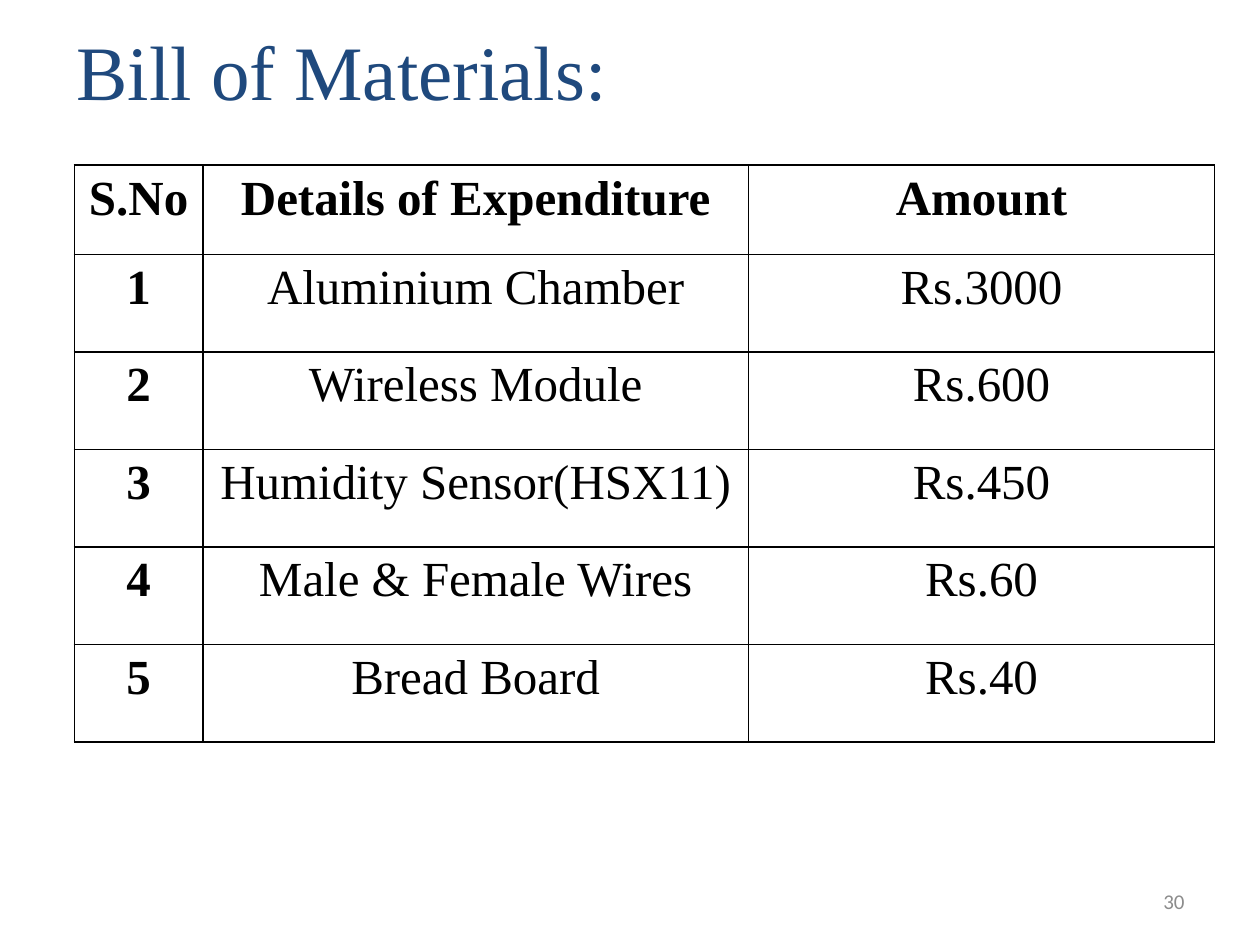
from lxml import etree
from pptx import Presentation
from pptx.dml.color import RGBColor
from pptx.enum.text import MSO_ANCHOR as Anchor, PP_ALIGN as Align
from pptx.oxml.ns import qn
from pptx.util import Inches, Pt

COLORS = {"title": "1F497D", "ink": "000000", "paper": "FFFFFF", "page": "8C8C8C"}
SERIF = "Times New Roman"
HEADS = ["S.No", "Details of Expenditure", "Amount"]
ITEMS = [
    ("Aluminium Chamber", "Rs.3000"),
    ("Wireless Module", "Rs.600"),
    ("Humidity Sensor(HSX11)", "Rs.450"),
    ("Male & Female Wires", "Rs.60"),
    ("Bread Board", "Rs.40"),
]
WIDTHS = [1.02, 4.33, 3.7]
TABLE_H, HEAD_H = 4.58, 0.71


def color(name):
    return RGBColor.from_string(COLORS[name])


def write(frame, text, size=28, font=SERIF, ink="ink", bold=False, align=Align.CENTER):
    par = frame.paragraphs[0]
    par.alignment = align
    run = par.add_run()
    run.text = text
    run.font.size = Pt(size)
    run.font.name = font
    run.font.bold = bold
    run.font.color.rgb = color(ink)


def border(cell):
    """Draw a 1 pt line on all four sides; call before filling the cell."""
    props = cell._tc.get_or_add_tcPr()
    for side in ("lnL", "lnR", "lnT", "lnB"):
        line = etree.SubElement(props, qn(f"a:{side}"), w=str(Pt(1)))
        fill = etree.SubElement(line, qn("a:solidFill"))
        etree.SubElement(fill, qn("a:srgbClr"), val=COLORS["ink"])


class Page:
    def __init__(self, deck):
        self.slide = deck.slides.add_slide(deck.slide_layouts[6])

    def label(self, text, left, top, width, height, **style):
        box = self.slide.shapes.add_textbox(*map(Inches, (left, top, width, height)))
        frame = box.text_frame
        frame.word_wrap = True
        frame.vertical_anchor = Anchor.MIDDLE
        write(frame, text, **style)

    def table(self, rows, left, top):
        count = len(rows) - 1
        heights = [HEAD_H] + [(TABLE_H - HEAD_H) / count] * count
        size = (left, top, sum(WIDTHS), TABLE_H)
        grid = self.slide.shapes.add_table(
            len(rows), len(WIDTHS), *map(Inches, size)).table
        grid.first_row = grid.horz_banding = False
        for col, width in zip(grid.columns, WIDTHS):
            col.width = Inches(width)
        for r, (row, height) in enumerate(zip(rows, heights)):
            grid.rows[r].height = Inches(height)
            for c, text in enumerate(row):
                cell = grid.cell(r, c)
                border(cell)
                cell.fill.solid()
                cell.fill.fore_color.rgb = color("paper")
                write(cell.text_frame, text, bold=r == 0 or c == 0)


def main():
    deck = Presentation()
    deck.slide_width, deck.slide_height = Inches(10), Inches(7.5)
    page = Page(deck)
    page.label("Bill of Materials:", 0.51, 0.03, 9, 1.05,
               size=44, ink="title", align=Align.LEFT)
    rows = [HEADS] + [(str(n), *item) for n, item in enumerate(ITEMS, 1)]
    page.table(rows, 0.59, 1.31)
    page.label("30", 7.17, 6.95, 2.33, 0.4,
               size=12, font="Calibri", ink="page", align=Align.RIGHT)
    deck.save("out.pptx")


if __name__ == "__main__":
    main()
